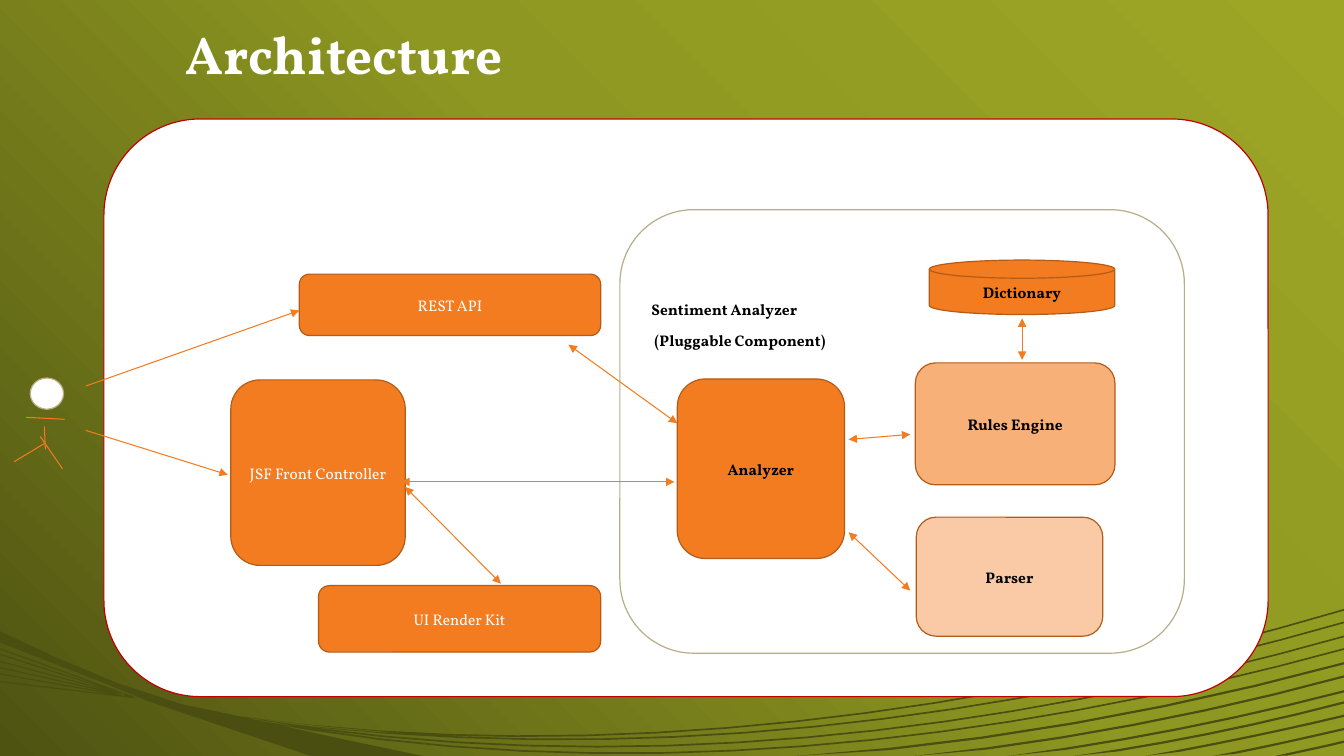
from copy import deepcopy
from dataclasses import dataclass
from typing import NamedTuple

from lxml import etree
from pptx import Presentation
from pptx.dml.color import RGBColor
from pptx.enum.shapes import MSO_CONNECTOR, MSO_SHAPE
from pptx.enum.text import MSO_ANCHOR, MSO_AUTO_SIZE, PP_ALIGN
from pptx.oxml.ns import qn
from pptx.util import Pt

ROUND, DISK, OVAL = MSO_SHAPE.ROUNDED_RECTANGLE, MSO_SHAPE.FLOWCHART_MAGNETIC_DISK, MSO_SHAPE.OVAL
STRAIGHT = MSO_CONNECTOR.STRAIGHT
LEFT, CENTER = PP_ALIGN.LEFT, PP_ALIGN.CENTER
TOP, MIDDLE, BOTTOM = MSO_ANCHOR.TOP, MSO_ANCHOR.MIDDLE, MSO_ANCHOR.BOTTOM
WIDTH, HEIGHT = 960, 540


@dataclass(frozen=True)
class Theme:
    font: str = "Vollkorn"
    title_size: float = 38
    label_size: float = 11
    border: float = 0.85
    stroke: float = 0.75
    white: str = "FFFFFF"
    black: str = "000000"
    orange: str = "F37B20"
    apricot: str = "F8B079"
    peach: str = "FACAA6"
    rust: str = "B45B18"
    sand: str = "B8AD86"
    red: str = "C00000"
    wave: str = "4A4E11"
    backdrop: tuple = ((0, "9DA625"), (0.45, "8E9721"), (1, "4E5312"))


THEME = Theme()


class Box(NamedTuple):
    x: float
    y: float
    w: float
    h: float
    fill: str = THEME.orange
    line: str = THEME.rust
    text: str = ""
    color: str = THEME.black
    bold: bool = True
    kind: int = ROUND


class Link(NamedTuple):
    x1: float
    y1: float
    x2: float
    y2: float
    ends: tuple = ()


class Strand(NamedTuple):
    start: tuple
    c1: tuple
    c2: tuple
    end: tuple
    weight: float = 1.6
    steps: int = 6


BOTH, FORWARD = ("headEnd", "tailEnd"), ("tailEnd",)

PANEL = Box(74.2, 85, 831.6, 412.6, THEME.white, THEME.red)
ANALYZER_GROUP = Box(442.8, 149.8, 403.2, 316.8, THEME.white, THEME.sand)
COMPONENTS = (
    Box(483.8, 270.7, 119.5, 128.2, text="Analyzer"),
    Box(653.8, 259.2, 142.6, 87.1, THEME.apricot, text="Rules Engine"),
    Box(654.5, 369.4, 133.2, 85, THEME.peach, text="Parser"),
    Box(164.9, 271.4, 124.6, 132.5, text="JSF Front Controller", color=THEME.white, bold=False),
    Box(213.8, 195.8, 215.3, 43.9, text="REST API", color=THEME.white, bold=False),
    Box(227.5, 418.3, 201.6, 47.5, text="UI Render Kit", color=THEME.white, bold=False),
    Box(663.8, 185.8, 132.5, 38.9, text="Dictionary", kind=DISK),
)
USER_HEAD = Box(21.6, 270, 23.8, 22.3, THEME.white, THEME.sand, kind=OVAL)
USER_LIMBS = (
    Link(31.7, 304.6, 32.4, 321.1),
    Link(31.7, 316.8, 10.1, 329.8),
    Link(28.8, 311.8, 44.6, 334.8),
    Link(18.7, 298.1, 46.1, 299.5),
)
FLOWS = (
    Link(730.1, 227.5, 730.1, 257, BOTH),
    Link(606.2, 313.9, 650.2, 310.3, BOTH),
    Link(606.2, 380.2, 650.2, 421.9, BOTH),
    Link(286.6, 344.2, 481.7, 344.2, BOTH),
    Link(289.4, 347.8, 357.8, 416.9, BOTH),
    Link(406.1, 246.2, 483.8, 302.4, BOTH),
    Link(61.2, 307.4, 162.7, 339.1, FORWARD),
    Link(61.2, 275.8, 213.8, 221.8, FORWARD),
)
WAVE_BODY = ((0, 451), (41, 470), (84, 488), (129.6, 503), (172.8, 512), (240, 527),
             (302, 540), (222, 540), (106, 501), (72, 487), (0, 459))
WAVE_ROOT = (172.8, 511.9)
STRANDS = (
    *(Strand(WAVE_ROOT, c1, c2, (WIDTH, y), 1.2, 16) for c1, c2, y in (
        ((432, 547), (706, 510), 435), ((454, 551), (719, 513), 444),
        ((445, 558), (715, 523), 454), ((438, 564), (712, 531), 463))),
    *(Strand((x, HEIGHT), c1, c2, (WIDTH, y)) for x, c1, c2, y in (
        (568, (702, 531), (834, 507), 473), (653, (759, 529), (862, 509), 482.4),
        (720, (803, 529), (883, 513), 493), (767, (830, 531), (895, 518), 501),
        (818, (868, 531), (916, 521), 510.5), (866, (899, 534), (929, 527), 520),
        (911, (928, 536), (944, 533), 529))),
    *(Strand((0, y), (0, y), (97, 498), (97, 498), 0.9, 1) for y in (463, 467, 472, 476.5, 481, 486.5)),
)


def rgb(color: str) -> RGBColor:
    return RGBColor.from_string(color)


def paint_background(slide) -> None:
    fill = slide.background.fill
    fill.gradient()
    fill.gradient_angle = 225
    stops = slide.background._cSld.find(".//" + qn("a:gsLst"))
    stops.append(deepcopy(stops[-1]))
    for stop, (position, color) in zip(fill.gradient_stops, THEME.backdrop):
        stop.color.rgb = rgb(color)
        stop.position = position


def strand_outline(strand: Strand) -> list:
    upper = []
    for i in range(strand.steps + 1):
        t = i / strand.steps
        weights = ((1 - t) ** 3, 3 * t * (1 - t) ** 2, 3 * t * t * (1 - t), t ** 3)
        upper.append(tuple(sum(w * pt[axis] for w, pt in zip(weights, strand[:4])) for axis in (0, 1)))
    return upper + [(x, y + strand.weight) for x, y in reversed(upper)]


def add_wave(slide, outlines: list) -> None:
    contours = [[(Pt(x), Pt(min(y, HEIGHT))) for x, y in outline] for outline in outlines]
    builder = slide.shapes.build_freeform(*contours[0][0])
    for contour in contours:
        if contour is not contours[0]:
            builder.move_to(*contour[0])
        builder.add_line_segments(contour[1:], close=True)
    sp = builder.convert_to_shape()
    sp.shadow.inherit = False
    sp.fill.solid()
    sp.fill.fore_color.rgb = rgb(THEME.wave)
    sp.line.fill.background()


def write(tf, text: str, *, size: float = THEME.label_size, color: str = THEME.black, bold: bool = True,
          align=CENTER, anchor=MIDDLE, spacing: float = 1.07, after: float = 8,
          side: float = 3.6, top: float = 3.6) -> None:
    tf.word_wrap = True
    tf.auto_size = MSO_AUTO_SIZE.NONE
    tf.vertical_anchor = anchor
    tf.margin_left = tf.margin_right = Pt(side)
    tf.margin_top, tf.margin_bottom = Pt(top), Pt(3.6)
    tf.text = text
    for p in tf.paragraphs:
        p.alignment, p.line_spacing = align, spacing
        p.space_before, p.space_after = Pt(0), Pt(after)
        for r in p.runs:
            r.font.name, r.font.size, r.font.bold = THEME.font, Pt(size), bold
            r.font.color.rgb = rgb(color)


def add_box(slide, box: Box):
    sp = slide.shapes.add_shape(box.kind, Pt(box.x), Pt(box.y), Pt(box.w), Pt(box.h))
    sp.shadow.inherit = False
    sp.fill.solid()
    sp.fill.fore_color.rgb = rgb(box.fill)
    sp.line.color.rgb = rgb(box.line)
    sp.line.width = Pt(THEME.border)
    if box.text:
        write(sp.text_frame, box.text, color=box.color, bold=box.bold)
    return sp


def add_link(slide, link: Link) -> None:
    cxn = slide.shapes.add_connector(STRAIGHT, Pt(link.x1), Pt(link.y1), Pt(link.x2), Pt(link.y2))
    cxn.line.color.rgb = rgb(THEME.orange)
    cxn.line.width = Pt(THEME.stroke)
    ln = cxn.line._get_or_add_ln()
    for end in link.ends:
        etree.SubElement(ln, qn(f"a:{end}"), type="triangle")
    etree.SubElement(cxn._element.spPr, qn("a:effectLst"))


prs = Presentation()
prs.slide_width, prs.slide_height = Pt(WIDTH), Pt(HEIGHT)
slide = prs.slides.add_slide(prs.slide_layouts[5])
paint_background(slide)

title = slide.shapes.title
title.left, title.top, title.width, title.height = Pt(125.3), Pt(11.5), Pt(834.7), Pt(53.3)
write(title.text_frame, "Architecture", size=THEME.title_size, color=THEME.white, align=LEFT,
      anchor=BOTTOM, spacing=0.9, after=0, side=7.2)

add_wave(slide, [WAVE_BODY, *map(strand_outline, STRANDS)])
add_box(slide, PANEL)
group = add_box(slide, ANALYZER_GROUP)
write(group.text_frame, "Sentiment Analyzer\n (Pluggable Component)", align=LEFT, anchor=TOP, side=7.2, top=48)
for box in (*COMPONENTS, USER_HEAD):
    add_box(slide, box)
for link in (*FLOWS, *USER_LIMBS):
    add_link(slide, link)

prs.save("out.pptx")
